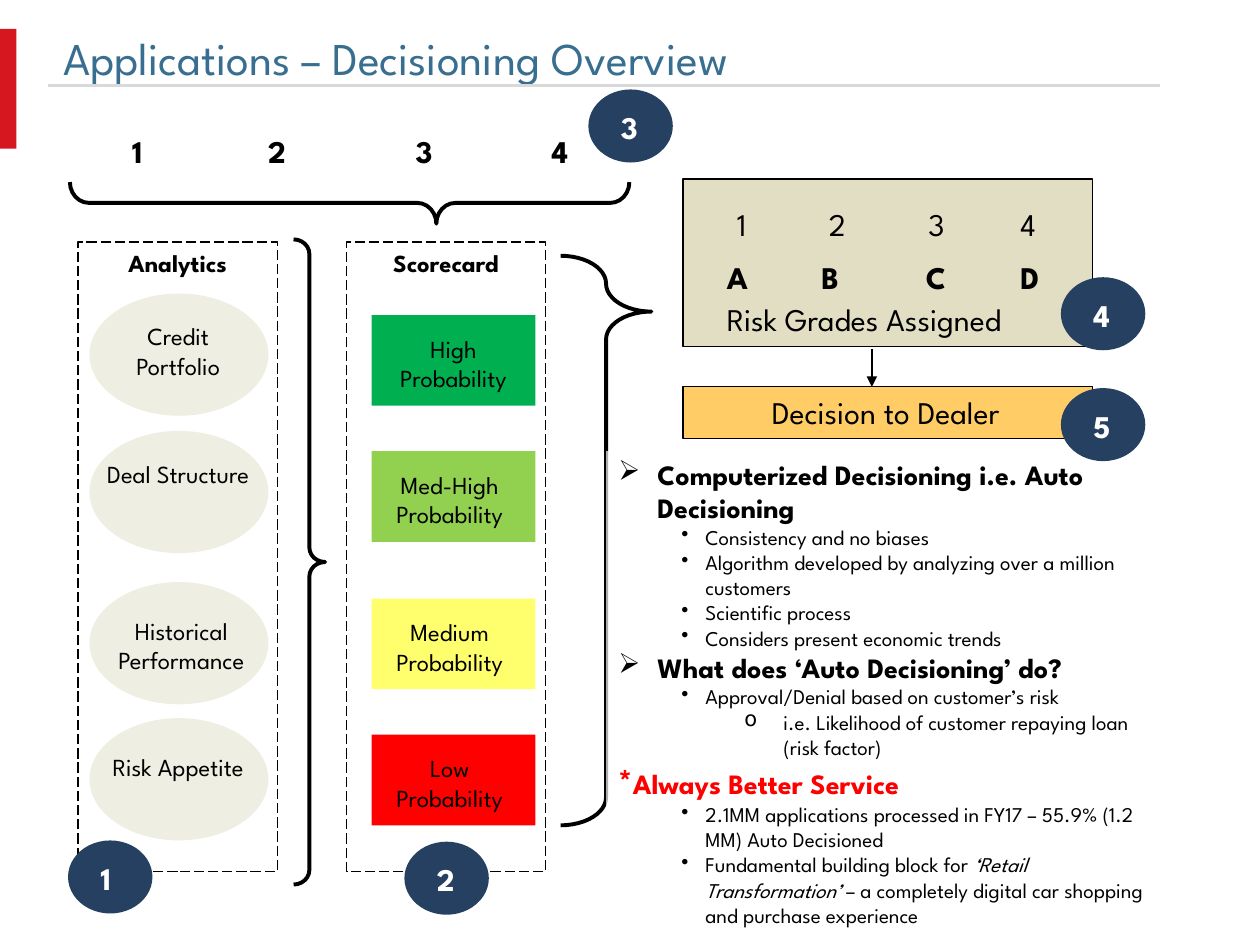
import pptx
import pptx.dml.color
import pptx.enum.dml
import pptx.enum.shapes
import pptx.enum.text
import pptx.oxml
import pptx.oxml.ns
import pptx.util

RGB = pptx.dml.color.RGBColor
SHAPE = pptx.enum.shapes.MSO_SHAPE
ALIGN = pptx.enum.text.PP_ALIGN
STRAIGHT = pptx.enum.shapes.MSO_CONNECTOR.STRAIGHT
Pt = pptx.util.Pt
qn = pptx.oxml.ns.qn

PX = 9144  # 100 px to the inch
FONT = "League Spartan"
BLACK = RGB(0x00, 0x00, 0x00)
WHITE = RGB(0xFF, 0xFF, 0xFF)
RED = RGB(0xFF, 0x00, 0x00)
BRAND_RED = RGB(0xD7, 0x17, 0x1F)
RULE_GREY = RGB(0xD9, 0xD9, 0xD9)
TITLE_BLUE = RGB(0x38, 0x6E, 0x8F)
NAVY = RGB(0x25, 0x40, 0x61)
IVORY = RGB(0xEE, 0xEE, 0xE2)
SAND = RGB(0xE2, 0xDE, 0xC4)
ORANGE = RGB(0xFF, 0xCC, 0x66)
GREEN = RGB(0x00, 0xB0, 0x50)
LIME = RGB(0x92, 0xD0, 0x50)
YELLOW = RGB(0xFF, 0xFF, 0x6D)


def add_span(para, text, size=18, bold=False, italic=False, color=BLACK):
    span = para.add_run()
    span.text = text
    span.font.name, span.font.size = FONT, Pt(size)
    span.font.bold, span.font.italic = bold, italic
    span.font.color.rgb = color


def add_figure(kind, at, fill=None, line=None, weight=0.75):
    figure = page.shapes.add_shape(kind, *[n * PX for n in at])
    figure.shadow.inherit = False
    if fill is None:
        figure.fill.background()
    else:
        figure.fill.solid()
        figure.fill.fore_color.rgb = fill
    if line is None:
        figure.line.fill.background()
    else:
        figure.line.color.rgb = line
        figure.line.width = Pt(weight)
    return figure


deck = pptx.Presentation()
deck.slide_width, deck.slide_height = 1000 * PX, 750 * PX
page = deck.slides.add_slide(deck.slide_layouts[5])

# Title with its red tab
add_figure(SHAPE.RECTANGLE, (-1, 23, 14, 95), BRAND_RED)
title = page.shapes.title
title.left, title.top, title.width, title.height = 40 * PX, 28 * PX, 748 * PX, 35 * PX
title.text_frame.vertical_anchor = pptx.enum.text.MSO_ANCHOR.MIDDLE
title.text_frame.paragraphs[0].alignment = ALIGN.LEFT
add_span(title.text_frame.paragraphs[0], "Applications – Decisioning Overview", size=26, color=TITLE_BLUE)

# Title rule and arrow from risk grades to decision
for ends, color, weight, has_arrow in [
    ((38, 68, 921, 68), RULE_GREY, 1.5, False),
    ((692, 277, 692, 307), BLACK, 0.75, True),
]:
    connector = page.shapes.add_connector(STRAIGHT, *[n * PX for n in ends])
    connector.line.color.rgb = color
    connector.line.width = Pt(weight)
    if has_arrow:
        connector.line._get_or_add_ln().append(
            pptx.oxml.parse_xml(f'<a:tailEnd {pptx.oxml.ns.nsdecls("a")} type="triangle"/>'))
    properties = connector._element.spPr
    properties.append(properties.makeelement(qn("a:effectLst"), {}))

# Text, place, and format of every label; drawn after the figures
labels = []

# Analytics and scorecard columns
for heading, left in [("Analytics", 62), ("Scorecard", 275)]:
    frame = add_figure(SHAPE.RECTANGLE, (left, 192, 158, 500), line=BLACK)
    frame.line.dash_style = pptx.enum.dml.MSO_LINE.LONG_DASH
    labels.append((heading, (left, 192, 158, 34), ALIGN.CENTER, {"size": 14, "bold": True}))

for topic, factor_top, level, level_top, color in [
    ("Credit Portfolio", 233, "High Probability", 250, GREEN),
    ("Deal Structure", 342, "Med-High Probability", 358, LIME),
    ("Historical Performance", 462, "Medium Probability", 475, YELLOW),
    ("Risk Appetite", 570, "Low Probability", 583, RED),
]:
    add_figure(SHAPE.OVAL, (71, factor_top, 142, 97), IVORY)
    add_figure(SHAPE.RECTANGLE, (295, level_top, 130, 72), color)
    topic_left, topic_width = (71, 146) if topic.startswith("Hist") else (75, 133)
    level_left = 295 if level.startswith("High") else 292
    topic_top = factor_top + (17 if factor_top < 400 else 22)
    labels.append((topic, (topic_left, topic_top, topic_width, 57), ALIGN.CENTER, {"size": 14}))
    labels.append((level, (level_left, level_top + 10, 130, 57), ALIGN.CENTER, {"size": 14}))

# Braces
for kind, at, turn, curve, tip in [
    (SHAPE.LEFT_BRACE, (261, -61, 33, 444), 270, 0.46, 0.655),
    (SHAPE.RIGHT_BRACE, (445, 203, 72, 452), 0, 0.76, 0.098),
    (SHAPE.LEFT_BRACE, (233, 190, 25, 512), 180, 0.46, 0.5),
]:
    brace = add_figure(kind, at, line=BLACK, weight=2.25)
    brace.rotation = turn
    brace.adjustments[0], brace.adjustments[1] = curve, tip

# Risk grades and decision
add_figure(SHAPE.RECTANGLE, (542, 142, 325, 133), SAND, BLACK)
add_figure(SHAPE.RECTANGLE, (542, 307, 325, 41), ORANGE, BLACK)
for number, top_left, rank_left, grade, grade_left in [
    ("1", 95, 575, "A", 567),
    ("2", 203, 648, "B", 642),
    ("3", 320, 727, "C", 725),
    ("4", 428, 800, "D", 800),
]:
    labels.append((number, (top_left, 100, 33, 40), ALIGN.LEFT, {"bold": True}))
    labels.append((number, (rank_left, 158, 33, 40), ALIGN.LEFT, {}))
    labels.append((grade, (grade_left, 200, 42, 40), ALIGN.LEFT, {"bold": True}))
labels.append(("Risk Grades Assigned", (567, 233, 275, 40), ALIGN.LEFT, {}))
labels.append(("Decision to Dealer", (531, 307, 344, 43), ALIGN.CENTER, {}))

# Explanation: bullet, left margin, hanging indent, then the spans
head, small = {"size": 16, "bold": True}, {"size": 12}
ARROW, DOT, CIRCLE, PLAIN = ("➢", 31, 31, 0), ("•", 69, 19, 1), ("o", 131, 31, 2), None
body = add_figure(SHAPE.RECTANGLE, (481, 358, 448, 387), WHITE)
white = body._element.spPr.find(qn("a:solidFill"))[0]
white.append(white.makeelement(qn("a:alpha"), {"val": "68000"}))
body.text_frame.word_wrap = True
body.text_frame.vertical_anchor = pptx.enum.text.MSO_ANCHOR.TOP
for index, (bullet, spans) in enumerate([
    (ARROW, [("Computerized Decisioning i.e. Auto Decisioning", head)]),
    (DOT, [("Consistency and no biases", small)]),
    (DOT, [("Algorithm developed by analyzing over a million customers", small)]),
    (DOT, [("Scientific process", small)]),
    (DOT, [("Considers present economic trends", small)]),
    (ARROW, [("What does ‘Auto Decisioning’ do?", head)]),
    (DOT, [("Approval/Denial based on customer’s risk", small)]),
    (CIRCLE, [("i.e. Likelihood of customer repaying loan (risk factor)", small)]),
    (PLAIN, [("*", {"size": 20, "bold": True, "color": RED}),
             ("Always Better Service", {**head, "color": RED})]),
    (DOT, [("2.1MM applications processed in FY17 – 55.9% (1.2 MM) Auto Decisioned", small)]),
    (DOT, [("Fundamental building block for ", small),
           ("‘Retail Transformation’ ", {"size": 12, "italic": True}),
           ("– a completely digital car shopping and purchase experience", small)]),
]):
    para = body.text_frame.paragraphs[0] if index == 0 else body.text_frame.add_paragraph()
    para.alignment = ALIGN.LEFT
    if bullet:
        mark, margin, hanging, para.level = bullet
        settings = para._p.get_or_add_pPr()
        settings.set("marL", str(margin * PX))
        settings.set("indent", str(-hanging * PX))
        settings.append(settings.makeelement(qn("a:buChar"), {"char": mark}))
    for text, style in spans:
        add_span(para, text, **style)

# Numbered step badges
for number, left, top in [("1", 54, 667), ("2", 321, 668), ("3", 467, 71), ("4", 842, 220), ("5", 842, 308)]:
    add_figure(SHAPE.OVAL, (left, top, 67, 58), NAVY)
    labels.append((number, (left + 16, top + 10, 50, 40), ALIGN.LEFT, {"bold": True, "color": WHITE}))

for text, at, align, style in labels:
    box = page.shapes.add_textbox(*[n * PX for n in at])
    box.text_frame.word_wrap = True
    box.text_frame.paragraphs[0].alignment = align
    add_span(box.text_frame.paragraphs[0], text, **style)

deck.save("out.pptx")
